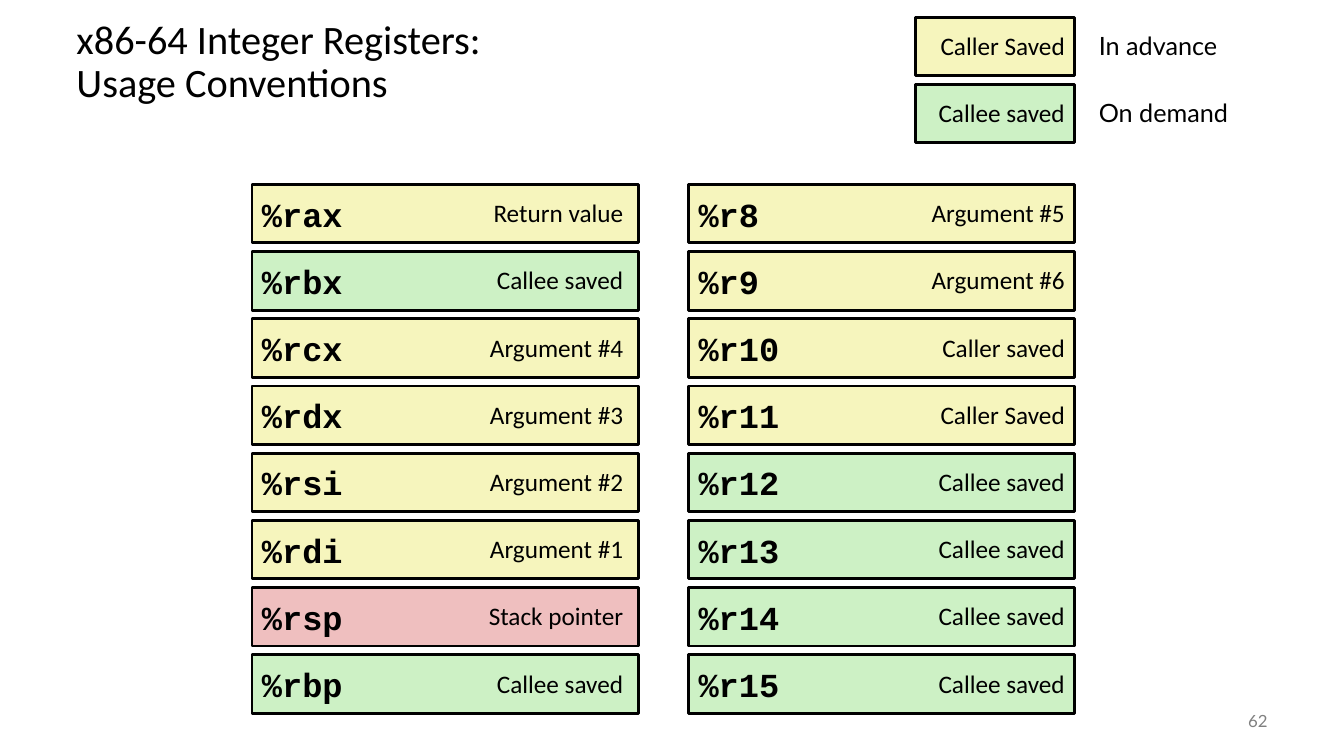
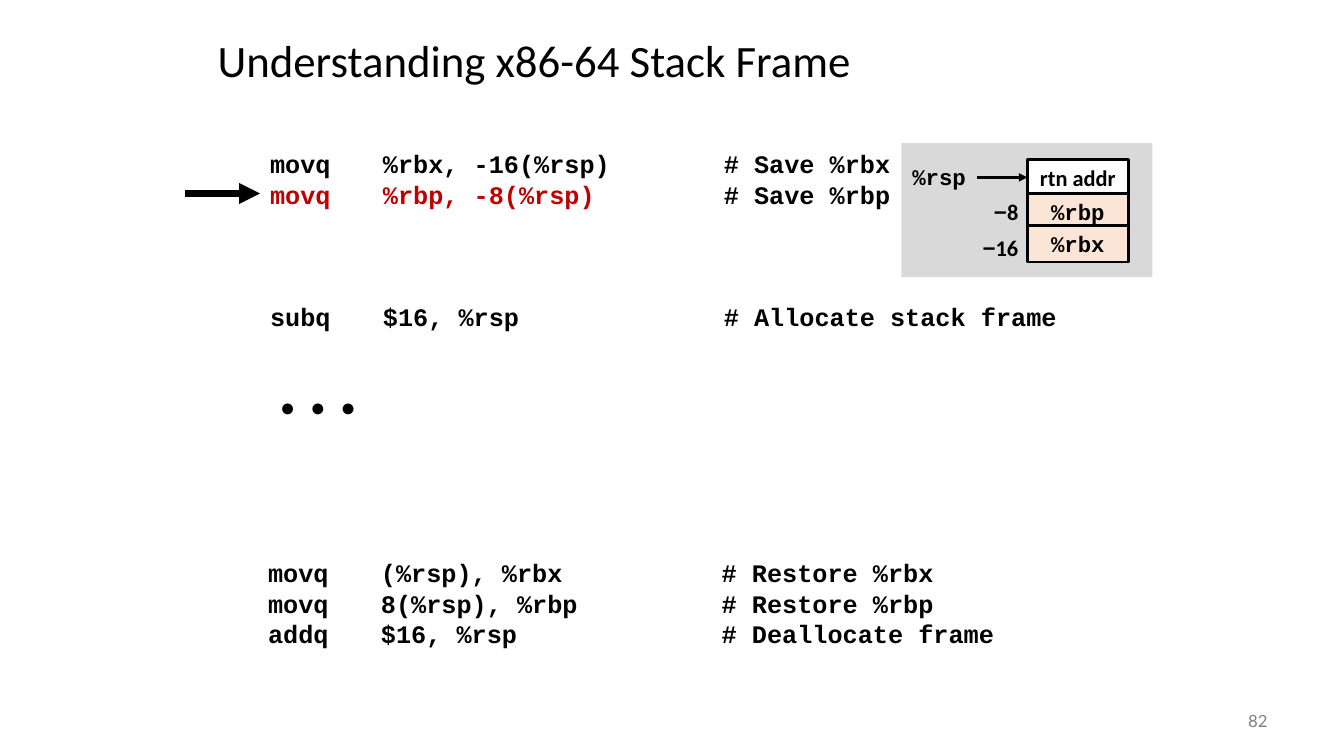
from dataclasses import dataclass, replace

from lxml import etree
from pptx import Presentation
from pptx.dml.color import RGBColor
from pptx.enum import shapes, text
from pptx.oxml import ns
from pptx.util import Inches, Pt


@dataclass(frozen=True)
class Style:
    font: str
    size: float
    color: str = "000000"
    bold: bool = False


@dataclass(frozen=True)
class Theme:
    ink: str = "000000"
    white: str = "FFFFFF"
    caller: str = "F6F5BD"
    callee: str = "CDF1C5"
    stack: str = "EFBFBF"
    panel: str = "D9D9D9"
    saved: str = "FBE5D6"
    highlight: str = "C00000"
    border: float = 2
    title: Style = Style("Calibri", 32)
    label: Style = Style("Calibri", 18)
    legend: Style = Style("Lato", 18)
    register: Style = Style("Courier New", 24, bold=True)
    code: Style = Style("Courier New", 18, bold=True)
    dots: Style = Style("Courier New", 18)
    cell: Style = Style("Courier New", 16, bold=True)
    offset: Style = Style("Calibri", 16, bold=True)
    minus: Style = Style("Arial", 16, bold=True)
    number: Style = Style("Lato", 12, "808080")


THEME = Theme()
LEFT, CENTER, RIGHT = text.PP_ALIGN.LEFT, text.PP_ALIGN.CENTER, text.PP_ALIGN.RIGHT
TOP, MIDDLE = text.MSO_ANCHOR.TOP, text.MSO_ANCHOR.MIDDLE

ROW_HEIGHT = 0.58
ROW_PITCH = 2 / 3
COLUMN_TOP = 1.83
COLUMN_WIDTH = 3.83
LABEL_WIDTH = 1.6
CODE_LINE = 21.8
CODE_TABS = (0.5, 1.62, 5)

LEGEND = [
    ("Caller Saved", THEME.caller, "In advance"),
    ("Callee saved", THEME.callee, "On demand"),
]
LEFT_REGISTERS = [
    ("%rax", "Return value", THEME.caller),
    ("%rbx", "Callee saved", THEME.callee),
    ("%rcx", "Argument #4", THEME.caller),
    ("%rdx", "Argument #3", THEME.caller),
    ("%rsi", "Argument #2", THEME.caller),
    ("%rdi", "Argument #1", THEME.caller),
    ("%rsp", "Stack pointer", THEME.stack),
    ("%rbp", "Callee saved", THEME.callee),
]
RIGHT_REGISTERS = [
    ("%r8", "Argument #5", THEME.caller),
    ("%r9", "Argument #6", THEME.caller),
    ("%r10", "Caller saved", THEME.caller),
    ("%r11", "Caller Saved", THEME.caller),
    ("%r12", "Callee saved", THEME.callee),
    ("%r13", "Callee saved", THEME.callee),
    ("%r14", "Callee saved", THEME.callee),
    ("%r15", "Callee saved", THEME.callee),
]
SAVE_CODE = [
    ("movq", "%rbx, -16(%rsp)", "# Save %rbx"),
    ("movq", "%rbp, -8(%rsp)", "# Save %rbp"),
    ("subq", "$16, %rsp", "# Allocate stack frame"),
]
RESTORE_CODE = [
    ("movq", "(%rsp), %rbx", "# Restore %rbx"),
    ("movq", "8(%rsp), %rbp", "# Restore %rbp"),
    ("addq", "$16, %rsp", "# Deallocate frame"),
]


def color(value):
    return RGBColor.from_string(value)


def add_span(para, words, style):
    span = para.add_run()
    span.text = words
    span.font.name = style.font
    span.font.size = Pt(style.size)
    span.font.bold = style.bold
    span.font.color.rgb = color(style.color)


def set_frame(shape, align=LEFT, anchor=TOP):
    frame = shape.text_frame
    frame.word_wrap = True
    frame.vertical_anchor = anchor
    para = frame.paragraphs[0]
    para.alignment = align
    return para


def add_text(page, area, spans, align=LEFT, anchor=TOP):
    box = page.shapes.add_textbox(*map(Inches, area))
    para = set_frame(box, align, anchor)
    for words, style in spans:
        add_span(para, words, style)
    return box


def add_rect(page, area, fill, words="", style=None, align=LEFT, border=THEME.border):
    rect = page.shapes.add_shape(shapes.MSO_SHAPE.RECTANGLE, *map(Inches, area))
    rect.shadow.inherit = False
    rect.fill.solid()
    rect.fill.fore_color.rgb = color(fill)
    if border:
        rect.line.color.rgb = color(THEME.ink)
        rect.line.width = Pt(border)
    else:
        rect.line.fill.background()
    if words:
        add_span(set_frame(rect, align, MIDDLE), words, style)


def add_arrow(page, start, end, y, width):
    arrow = page.shapes.add_connector(
        shapes.MSO_CONNECTOR.STRAIGHT, Inches(start), Inches(y), Inches(end), Inches(y))
    arrow.line.color.rgb = color(THEME.ink)
    arrow.line.width = Pt(width)
    etree.SubElement(arrow.line._get_or_add_ln(), ns.qn("a:tailEnd"), type="triangle")
    etree.SubElement(arrow._element.spPr, ns.qn("a:effectLst"))


def add_page(deck, title_lines, title_area, title_size, number):
    page = deck.slides.add_slide(deck.slide_layouts[6])
    style = replace(THEME.title, size=title_size)
    para = set_frame(page.shapes.add_textbox(*map(Inches, title_area)), anchor=MIDDLE)
    para.line_spacing = 0.9
    for index, words in enumerate(title_lines):
        if index:
            para.add_line_break()
        add_span(para, words, style)
    add_text(page, (11.67, 6.95, 1, 0.4), [(number, THEME.number)], RIGHT, MIDDLE)
    return page


def add_row_label(page, right, top, words):
    area = (right - LABEL_WIDTH, top + 0.08, LABEL_WIDTH, 0.4)
    add_text(page, area, [(words, THEME.label)], RIGHT)


def add_register_column(page, left, label_right, registers):
    for row, (name, usage, fill) in enumerate(registers):
        top = COLUMN_TOP + row * ROW_PITCH
        add_rect(page, (left, top, COLUMN_WIDTH, ROW_HEIGHT), fill, name, THEME.register)
        add_row_label(page, label_right, top, usage)


def add_legend(page):
    for row, (words, fill, timing) in enumerate(LEGEND):
        top = 0.17 + row * ROW_PITCH
        add_rect(page, (9.08, top, 1.58, ROW_HEIGHT), fill)
        add_row_label(page, 10.66, top, words)
        add_text(page, (10.8, top + 0.08, 1.58, 0.4), [(timing, THEME.legend)])


def add_code(page, area, lines, marked=None, spaced=None):
    box = page.shapes.add_textbox(*map(Inches, area))
    first = set_frame(box)
    for index, (operation, operands, comment) in enumerate(lines):
        para = box.text_frame.add_paragraph() if index else first
        tabs = etree.SubElement(para._p.get_or_add_pPr(), ns.qn("a:tabLst"))
        for stop in CODE_TABS:
            etree.SubElement(tabs, ns.qn("a:tab"), pos=str(Inches(stop)), algn="l")
        para.line_spacing = Pt(CODE_LINE)
        if index == spaced:
            para.space_before = Pt(3 * CODE_LINE)
        shade = THEME.highlight if index == marked else THEME.ink
        add_span(para, "\t", THEME.code)
        add_span(para, f"{operation}\t{operands}", replace(THEME.code, color=shade))
        add_span(para, f"\t{comment}", THEME.code)


def add_stack(page):
    add_rect(page, (8.94, 1.42, 2.49, 1.33), THEME.panel, border=0)
    cells = [
        (1.58, "rtn addr", THEME.white, THEME.offset),
        (1.92, "%rbp", THEME.saved, THEME.cell),
        (2.24, "%rbx", THEME.saved, THEME.cell),
    ]
    for top, words, fill, style in cells:
        add_rect(page, (10.19, top, 1, 0.36), fill, words, style, CENTER)
    add_text(page, (8.95, 1.57, 0.8, 0.37), [("%rsp", THEME.cell)])
    add_arrow(page, 9.69, 10.19, 1.76, THEME.border)
    for top, distance in ((1.92, "8"), (2.27, "16")):
        spans = [("−", THEME.minus), (distance, THEME.offset)]
        box = add_text(page, (9.35, top, 0.8, 0.37), spans, RIGHT)
        box.text_frame.margin_left = box.text_frame.margin_right = Inches(0.05)


def build_registers(deck):
    title = ["x86-64 Integer Registers:", "Usage Conventions"]
    page = add_page(deck, title, (0.66, 0.25, 12, 0.75), 28.8, "62")
    add_register_column(page, 2.5, 6.28, LEFT_REGISTERS)
    add_register_column(page, 6.83, 10.66, RIGHT_REGISTERS)
    add_legend(page)


def build_stack_frame(deck):
    title = ["Understanding x86-64 Stack Frame"]
    page = add_page(deck, title, (2.06, 0.21, 8.3, 0.83), 32, "82")
    add_stack(page)
    add_code(page, (2.08, 1.42, 9.42, 1.92), SAVE_CODE, marked=1, spaced=2)
    add_text(page, (2.68, 3.83, 1.07, 0.4), [("● ● ●", THEME.dots)])
    add_code(page, (2.06, 5.48, 9.42, 1.01), RESTORE_CODE)
    add_arrow(page, 1.83, 2.58, 1.92, 5)


def main():
    deck = Presentation()
    deck.slide_width = Inches(13.33)
    deck.slide_height = Inches(7.5)
    build_registers(deck)
    build_stack_frame(deck)
    deck.save("out.pptx")


if __name__ == "__main__":
    main()
